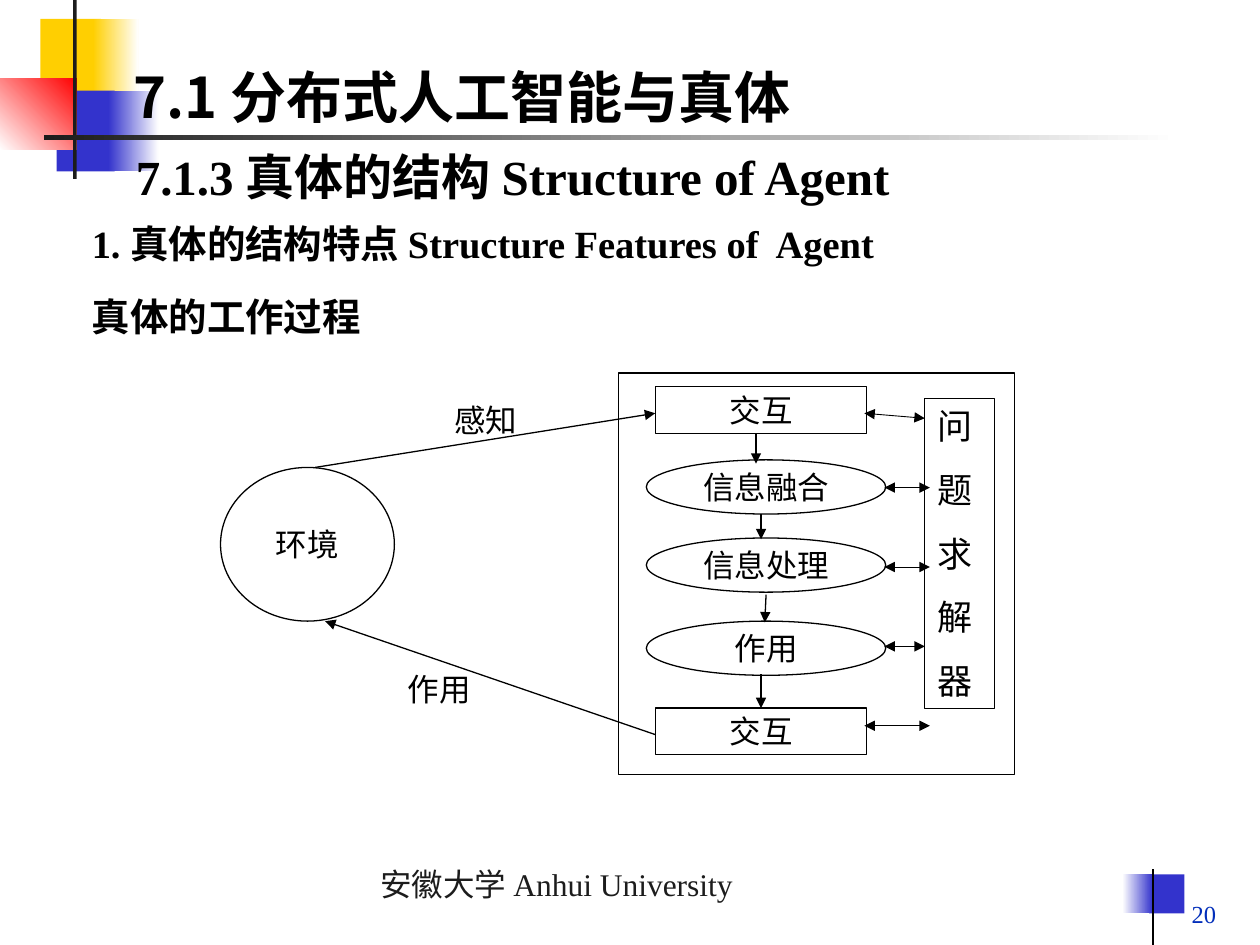
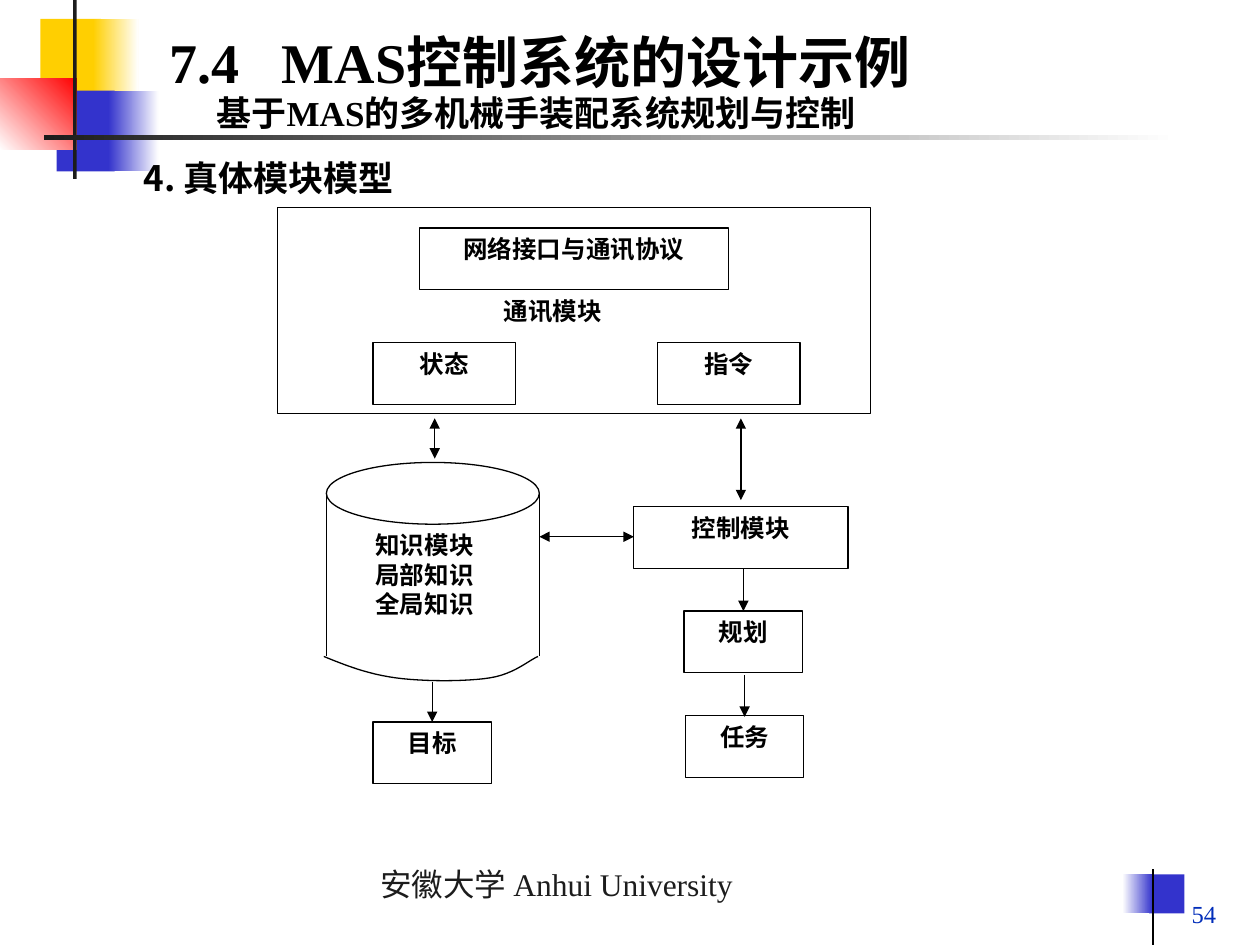
from lxml import etree
from pptx import Presentation
from pptx.dml.color import RGBColor
from pptx.enum.shapes import MSO_CONNECTOR, MSO_SHAPE
from pptx.enum.text import MSO_ANCHOR, PP_ALIGN
from pptx.oxml.ns import qn
from pptx.util import Inches, Pt

RECT, OVAL = MSO_SHAPE.RECTANGLE, MSO_SHAPE.OVAL
STRAIGHT = MSO_CONNECTOR.STRAIGHT
TOP, MIDDLE, BOTTOM = MSO_ANCHOR.TOP, MSO_ANCHOR.MIDDLE, MSO_ANCHOR.BOTTOM
LEFT, CENTER, RIGHT = PP_ALIGN.LEFT, PP_ALIGN.CENTER, PP_ALIGN.RIGHT
JUSTIFY = PP_ALIGN.JUSTIFY
LATIN, CJK = "Times New Roman", "Noto Sans CJK SC"
COLORS = {"white": "FFFFFF", "black": "000000", "ink": "1C1C1C", "gold": "FFCF01",
          "blue": "3333CC", "red": "FF0000", "number": "022EBA"}


def rgb(name):
    """Return the named colour."""
    return RGBColor.from_string(COLORS[name])


def write(frame, paragraphs, size, bold=False, color="black", font=LATIN, align=LEFT,
          anchor=TOP, wrap=True, before=None):
    """Fill a text frame; a paragraph is a string or a list of (text, font) runs."""
    frame.word_wrap = wrap
    frame.vertical_anchor = anchor
    for index, content in enumerate(paragraphs):
        paragraph = frame.add_paragraph() if index else frame.paragraphs[0]
        paragraph.alignment = align
        if before:
            paragraph.space_before = Pt(before)
        paragraph.font.size = Pt(size)
        paragraph.font.bold = bold
        paragraph.font.color.rgb = rgb(color)
        paragraph.font.name = font
        defaults = paragraph._p.pPr.find(qn("a:defRPr"))
        etree.SubElement(defaults, qn("a:ea"), typeface=CJK)
        if isinstance(content, str):
            paragraph.add_run().text = content
            continue
        for text, run_font in content:
            run = paragraph.add_run()
            run.text = text
            run.font.name = run_font


class Region:
    """A part of a slide whose contents are placed from its top left corner."""

    def __init__(self, slide, left, top):
        """Remember the slide and the corner."""
        self.shapes, self.left, self.top = slide.shapes, left, top

    def point(self, x, y):
        """Turn a local position into slide lengths."""
        return Inches(self.left + x), Inches(self.top + y)

    def text(self, box, paragraphs, size, **style):
        """Add a text box."""
        x, y, width, height = box
        label = self.shapes.add_textbox(*self.point(x, y), Inches(width), Inches(height))
        write(label.text_frame, paragraphs, size, **style)

    def shape(self, kind, box, fill=None, line=None, weight=0.75):
        """Add a shape; a pair of fill colours makes a gradient."""
        x, y, width, height = box
        shape = self.shapes.add_shape(kind, *self.point(x, y), Inches(width), Inches(height))
        shape.shadow.inherit = False
        if fill is None:
            shape.fill.background()
        elif isinstance(fill, tuple):
            shape.fill.gradient()
            shape.fill.gradient_angle = 0
            for stop, color in zip(shape.fill.gradient_stops, fill):
                stop.color.rgb = rgb(color)
        else:
            shape.fill.solid()
            shape.fill.fore_color.rgb = rgb(fill)
        if line:
            shape.line.color.rgb = rgb(line)
            shape.line.width = Pt(weight)
        else:
            shape.line.fill.background()
        return shape

    def step(self, kind, box, text):
        """Add an outlined shape with a centred 18 pt label."""
        shape = self.shape(kind, box, line="black")
        write(shape.text_frame, [text], 18, align=CENTER, anchor=MIDDLE, wrap=False)

    def module(self, box, text):
        """Add a white box with a bold label at its top."""
        shape = self.shape(RECT, box, "white", "black")
        write(shape.text_frame, [text], 14, bold=True, align=CENTER)

    def line(self, start, end, heads=(), weight=0.75):
        """Add a line with triangles at the ends named in heads."""
        line = self.shapes.add_connector(STRAIGHT, *self.point(*start), *self.point(*end))
        line.line.color.rgb = rgb("black")
        line.line.width = Pt(weight)
        for head in heads:
            etree.SubElement(line.line._get_or_add_ln(), qn("a:" + head), type="triangle")
        etree.SubElement(line._element.spPr, qn("a:effectLst"))


ONE_WAY, TWO_WAY = ("tailEnd",), ("headEnd", "tailEnd")


def add_corner(slide, left, top):
    """Draw the coloured squares and the crossing rules."""
    corner = Region(slide, left, top)
    corner.shape(RECT, (0.32, 0.15, 0.48, 0.64), "gold")
    corner.shape(RECT, (0.74, 0.15, 0.36, 0.64), ("gold", "white"))
    corner.shape(RECT, (0.45, 0.72, 0.46, 0.64), "blue")
    corner.shape(RECT, (0.86, 0.72, 0.4, 0.64), ("blue", "white"))
    glow = corner.shape(RECT, (0, 0.62, 0.61, 0.57), ("white", "red"))
    glow.fill.gradient_angle = 45
    corner.shape(RECT, (0.58, 0, 0.03, 1.42), "ink")
    corner.shape(RECT, (0.35, 1.07, 9, 0.04), ("ink", "white"))


def add_footer(slide, left, top, number):
    """Draw the university name, the blue mark and the page number."""
    footer = Region(slide, left, top)
    footer.shape(RECT, (6.2, 0.12, 0.28, 0.31), "blue")
    footer.shape(RECT, (5.99, 0.12, 0.24, 0.31), ("white", "blue"))
    footer.line((6.23, 0.08), (6.23, 0.68))
    footer.text((0, 0, 3.06, 0.4), ["安徽大学 Anhui University"], 18, color="ink", wrap=False)
    footer.text((4.75, 0.08, 2.08, 0.52), [number], 14, color="number", align=RIGHT,
                anchor=BOTTOM)


def add_page(deck, number):
    """Add a slide with the shared decoration."""
    slide = deck.slides.add_slide(deck.slide_layouts[6])
    add_corner(slide, 0, 0)
    add_footer(slide, 2.92, 6.82, number)
    return slide


def add_agent(slide, left, top):
    """Draw the agent frame with its steps and the problem solver."""
    agent = Region(slide, left, top)
    agent.shape(RECT, (0, 0, 3.14, 3.19), line="black")
    for y, text in ((0.11, "交互"), (2.66, "交互")):
        agent.step(RECT, (0.29, y, 1.68, 0.37), text)
    for y, text in ((0.69, "信息融合"), (1.31, "信息处理"), (1.97, "作用")):
        agent.step(OVAL, (0.22, y, 1.9, 0.43), text)
    for start, end in (((1.09, 0.48), (1.09, 0.72)), ((1.13, 1.12), (1.13, 1.32)),
                       ((1.17, 1.76), (1.16, 1.98)), ((1.13, 2.39), (1.13, 2.66))):
        agent.line(start, end, ONE_WAY)
    solver = agent.shape(RECT, (2.43, 0.2, 0.55, 2.46), line="black", weight=0.5)
    write(solver.text_frame, "问题求解器", 20, before=12.5)
    for start, end in (((1.95, 0.32), (2.43, 0.36)), ((2.11, 0.91), (2.47, 0.91)),
                       ((2.11, 1.54), (2.47, 1.54)), ((2.11, 2.17), (2.43, 2.17)),
                       ((1.95, 2.8), (2.47, 2.8))):
        agent.line(start, end, TWO_WAY, 0.5)


def add_environment(slide, left, top):
    """Draw the environment with its sensing and acting arrows."""
    environment = Region(slide, left, top)
    environment.step(OVAL, (0, 0.75, 1.38, 1.22), "环境")
    environment.line((0.75, 0.75), (3.45, 0.32), ONE_WAY)
    environment.line((3.45, 2.87), (0.83, 1.97), ONE_WAY)
    for x, y, text in ((1.34, 0.16, "感知"), (0.97, 2.29, "作用")):
        environment.text((x, y, 1.53, 0.43), [text], 18, align=CENTER, anchor=MIDDLE,
                         wrap=False)


def add_communication(slide, left, top):
    """Draw the communication module."""
    communication = Region(slide, left, top)
    communication.shape(RECT, (0, 0, 4.71, 1.63), "white", "black")
    communication.module((1.13, 0.16, 2.45, 0.49), "网络接口与通讯协议")
    communication.text((1.7, 0.65, 1.32, 0.49), ["通讯模块"], 14, bold=True, align=JUSTIFY)
    for x, text in ((0.76, "状态"), (3.02, "指令")):
        communication.module((x, 1.07, 1.13, 0.49), text)


def bezier(start, control_1, control_2, end, steps=12):
    """Return points along a cubic curve, without its start."""
    points = []
    for step in range(1, steps + 1):
        t = step / steps
        weights = ((1 - t) ** 3, 3 * t * (1 - t) ** 2, 3 * t * t * (1 - t), t ** 3)
        points.append(tuple(sum(w * value for w, value in zip(weights, axis))
                            for axis in zip(start, control_1, control_2, end)))
    return points


def add_knowledge(slide, left, top):
    """Draw the knowledge drum and its goal."""
    knowledge = Region(slide, left, top)
    knowledge.shape(OVAL, (0.02, 0, 1.69, 0.49), "white", "black")
    for x in (0.02, 1.71):
        knowledge.line((x, 0.24), (x, 1.54))
    base = bezier((0, 1.54), (0.17, 1.61), (0.35, 1.68), (0.57, 1.71))
    base += bezier((0.57, 1.71), (0.79, 1.74), (1.13, 1.74), (1.32, 1.71))
    base += bezier((1.32, 1.71), (1.51, 1.68), (1.63, 1.57), (1.7, 1.54))
    outline = knowledge.shapes.build_freeform(*knowledge.point(0, 1.54))
    outline.add_line_segments([knowledge.point(*spot) for spot in base], close=False)
    bottom = outline.convert_to_shape()
    bottom.shadow.inherit = False
    bottom.fill.background()
    bottom.line.color.rgb = rgb("black")
    bottom.line.width = Pt(0.75)
    knowledge.text((0.14, 0.49, 1.32, 1.14), ["知识模块", "局部知识", "全局知识"], 14,
                   bold=True, align=CENTER)
    knowledge.module((0.39, 2.06, 0.94, 0.49), "目标")
    knowledge.line((0.86, 1.74), (0.86, 2.06), ONE_WAY)


def add_control(slide, left, top):
    """Draw the control module with planning and task below it."""
    control = Region(slide, left, top)
    control.module((0, 0, 1.7, 0.49), "控制模块")
    control.module((0.4, 0.83, 0.94, 0.49), "规划")
    control.module((0.41, 1.66, 0.94, 0.49), "任务")
    control.line((0.87, 0.5), (0.87, 0.83), ONE_WAY)
    control.line((0.88, 1.34), (0.88, 1.67), ONE_WAY)


def add_structure_slide(deck):
    """Build the slide on the working process of an agent."""
    slide = add_page(deck, "20")
    page = Region(slide, 0, 0)
    page.text((0.96, 0.45, 5.77, 0.63), ["7.1 分布式人工智能与真体"], 32, bold=True, font=CJK)
    page.text((0.98, 1.11, 7.5, 0.57), ["7.1.3 真体的结构 Structure of Agent"], 28, bold=True)
    page.text((0.63, 1.7, 8.25, 0.47),
              [[("1. ", LATIN), ("真体的结构特点 ", CJK),
                ("Structure Features of  Agent", LATIN)]], 22, bold=True)
    page.text((0.63, 2.28, 7.42, 0.47), ["真体的工作过程"], 22, bold=True, align=JUSTIFY)
    add_agent(slide, 4.91, 2.96)
    add_environment(slide, 1.75, 2.96)


def add_module_slide(deck):
    """Build the slide on the module model of an agent."""
    slide = add_page(deck, "54")
    page = Region(slide, 0, 0)
    page.text((1.25, 0.17, 7.33, 0.63),
              [[("7.4   MAS", LATIN), ("控制系统的设计示例", CJK)]], 32, bold=True)
    page.text((1.62, 0.68, 7.15, 0.43),
              [[("基于", CJK), ("MAS", LATIN), ("的多机械手装配系统规划与控制", CJK)]],
              20, bold=True)
    page.text((1.04, 1.19, 4.58, 0.43), ["4. 真体模块模型"], 20, bold=True, font=CJK)
    add_communication(slide, 2.2, 1.65)
    add_knowledge(slide, 2.57, 3.67)
    add_control(slide, 5.03, 4.02)
    for start, end in (((3.45, 3.32), (3.45, 3.64)), ((5.88, 3.32), (5.88, 3.97)),
                       ((4.28, 4.26), (5.03, 4.26))):
        page.line(start, end, TWO_WAY)


def main():
    """Build and save the deck."""
    deck = Presentation()
    deck.slide_width, deck.slide_height = Inches(10), Inches(7.5)
    add_structure_slide(deck)
    add_module_slide(deck)
    deck.save("out.pptx")


if __name__ == "__main__":
    main()
